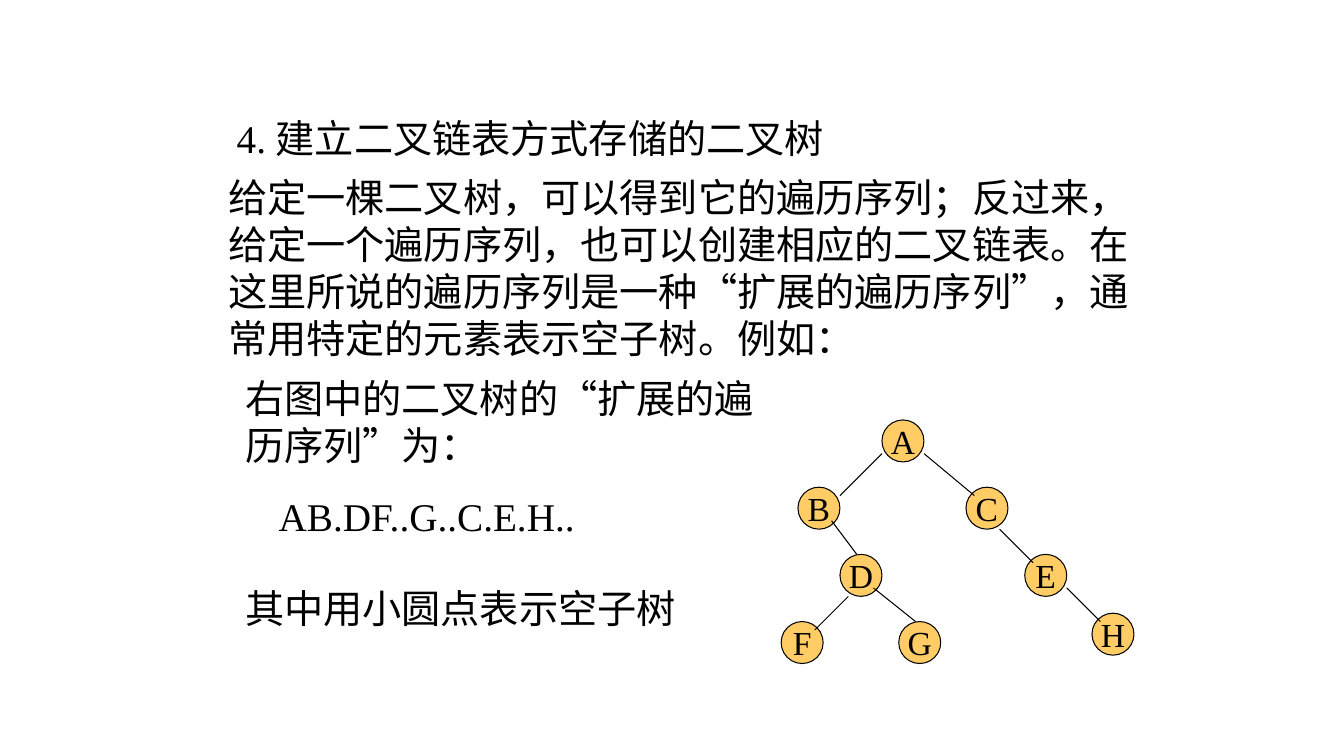
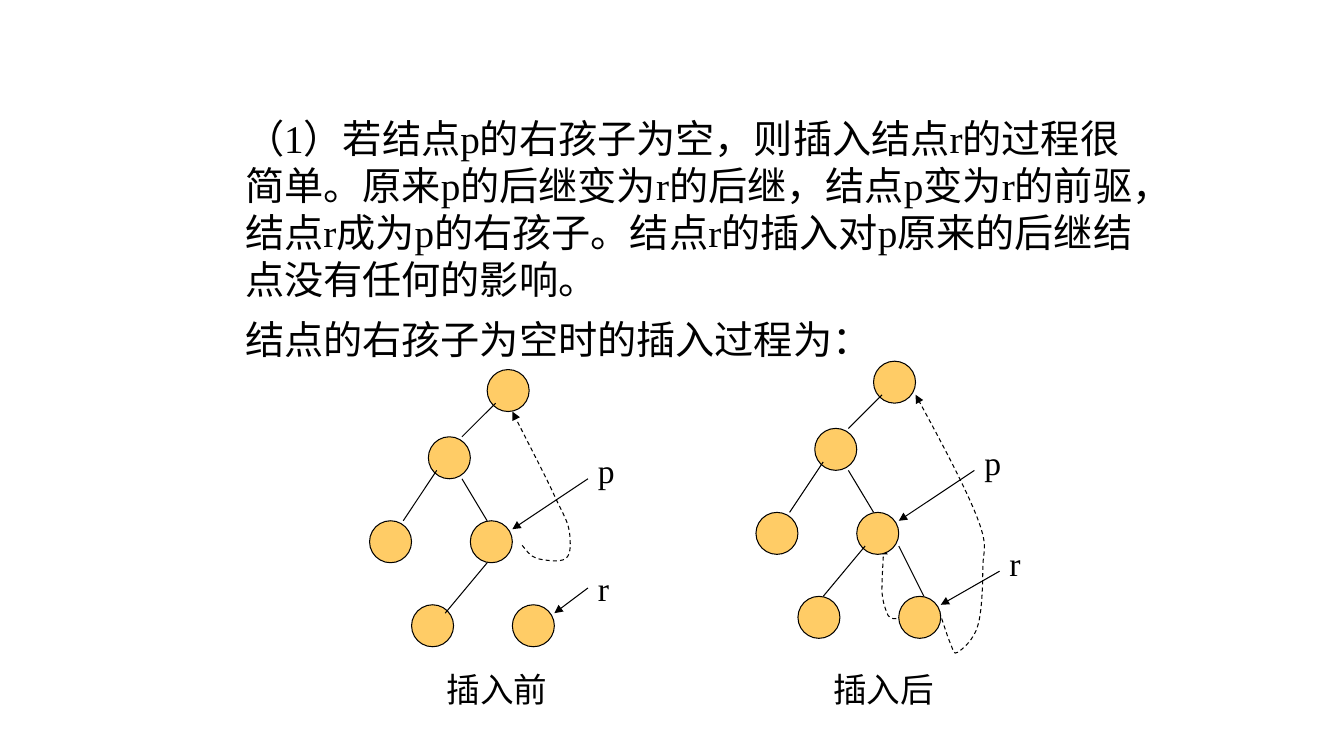
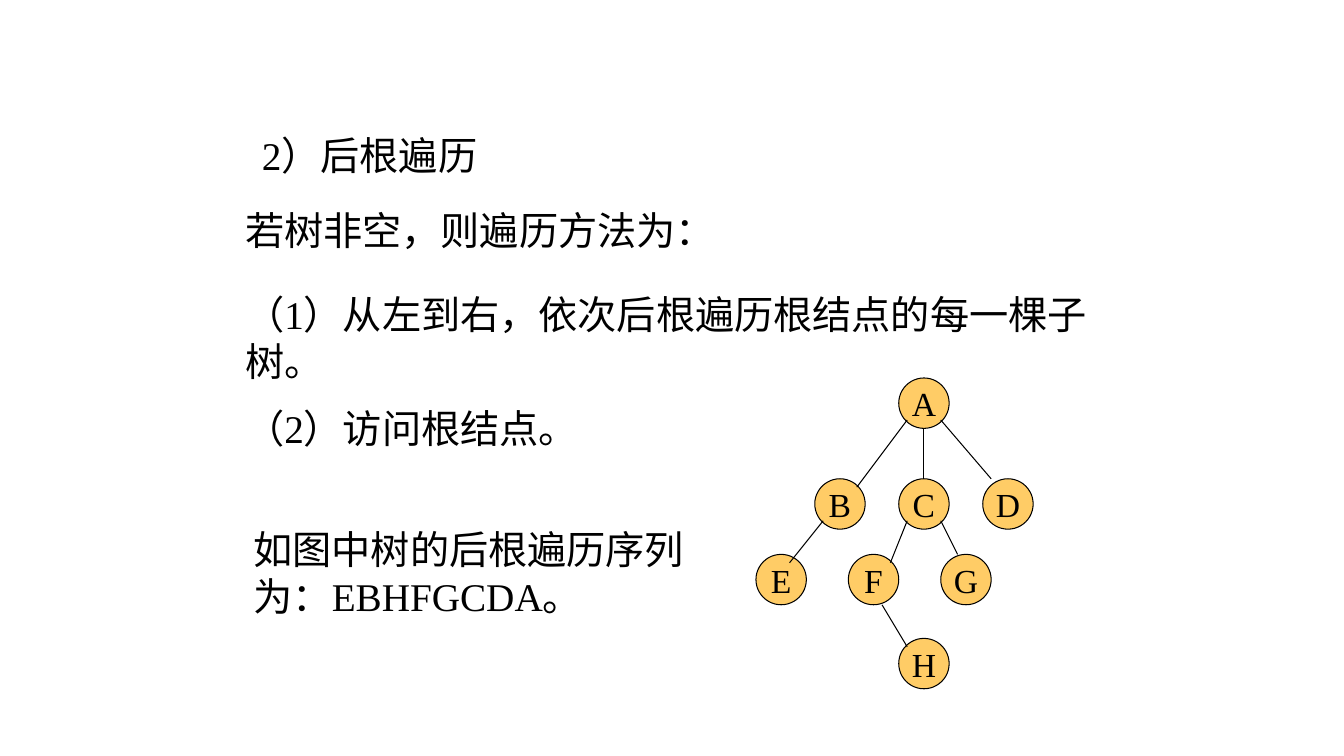
from pptx import Presentation
from pptx.dml.color import RGBColor
from pptx.enum import dml, shapes, text
from pptx.oxml import ns, xmlchemy
from pptx.util import Pt

LATIN, HAN = "Times New Roman", "Noto Sans CJK SC"
INK, NODE_FILL = "000000", "FFCC66"
BODY, LABEL = 28, 24
LEADING = 1.2


def paint(target, colour):
    """Give a fill or a font colour its hex value."""
    target.rgb = RGBColor.from_string(colour)


def add_child(parent, tag, **attributes):
    child = xmlchemy.OxmlElement(tag)
    for name, value in attributes.items():
        child.set(name, value)
    parent.append(child)


# Text
def write(para, spans, size):
    """Add (wording, font) spans to a paragraph."""
    para.line_spacing = Pt(size * LEADING)
    for wording, font in spans:
        span = para.add_run()
        span.text = wording
        span.font.size = Pt(size)
        paint(span.font.color, INK)
        span.font.name = font
        add_child(span.font._element, "a:ea", typeface=HAN)


def add_text(page, left, top, width, height, *paras, size=BODY):
    """Each paragraph is a string; '|' switches between the two fonts."""
    box = page.shapes.add_textbox(Pt(left), Pt(top), Pt(width), Pt(height))
    frame = box.text_frame
    frame.word_wrap = True
    for index, wording in enumerate(paras):
        para = frame.add_paragraph() if index else frame.paragraphs[0]
        if index:
            para.space_before = Pt(14)
        spans = [(part, (LATIN, HAN)[turn % 2])
                 for turn, part in enumerate(wording.split("|"))]
        write(para, spans, size)


# Lines and nodes
def style_line(line, arrow=False, dashed=False):
    line.fill.solid()
    paint(line.fill.fore_color, INK)
    line.width = Pt(0.75)
    if dashed:
        line.dash_style = dml.MSO_LINE.DASH
    if arrow:
        add_child(line._get_or_add_ln(), "a:tailEnd", type="triangle")


def add_line(page, x1, y1, x2, y2, arrow=False):
    link = page.shapes.add_connector(
        shapes.MSO_CONNECTOR.STRAIGHT, Pt(x1), Pt(y1), Pt(x2), Pt(y2))
    style_line(link.line, arrow)
    add_child(link._element.find(ns.qn("p:spPr")), "a:effectLst")


def add_node(page, left, top, size, name=""):
    node = page.shapes.add_shape(
        shapes.MSO_SHAPE.OVAL, Pt(left), Pt(top), Pt(size), Pt(size))
    node.shadow.inherit = False
    node.fill.solid()
    paint(node.fill.fore_color, NODE_FILL)
    style_line(node.line)
    if name:
        frame = node.text_frame
        frame.word_wrap = False
        frame.vertical_anchor = text.MSO_ANCHOR.MIDDLE
        frame.paragraphs[0].alignment = text.PP_ALIGN.CENTER
        write(frame.paragraphs[0], [(name, LATIN)], LABEL)


def add_tree(page, left, top, size, nodes, edges):
    """Nodes are (name, x, y) and edges (x1, y1, x2, y2) from the corner."""
    for name, x, y in nodes:
        add_node(page, left + x, top + y, size, name)
    for x1, y1, x2, y2 in edges:
        add_line(page, left + x1, top + y1, left + x2, top + y2)


def add_thread(page, left, top, points):
    """Dashed arrow along joined cubic curves: a start, then three points each."""
    start, *rest = [(Pt(left + x), Pt(top + y)) for x, y in points]
    builder = page.shapes.build_freeform(*start)
    builder.add_line_segments(rest, close=False)
    curve = builder.convert_to_shape()
    curve.shadow.inherit = False
    curve.fill.background()
    style_line(curve.line, arrow=True, dashed=True)
    # Turn each three straight segments into one cubic curve
    segments = list(curve._element.iter(ns.qn("a:lnTo")))
    for first in range(0, len(segments), 3):
        cubic = xmlchemy.OxmlElement("a:cubicBezTo")
        segments[first].addprevious(cubic)
        for segment in segments[first:first + 3]:
            cubic.append(segment[0])
            segment.getparent().remove(segment)


# Tree before or after the insertion
INSERT_NODES = [("", 84, 0), ("", 42, 48), ("", 0, 108),
                ("", 72, 108), ("", 30, 168), ("", 102, 168)]
INSERT_EDGES = [(90, 24, 66, 48), (48, 72, 24, 108), (66, 78, 84, 108)]


def add_insertion(page, left, top, edges, threads, pointers):
    """Pointers are (name, label top, x1, y1, x2, y2)."""
    for points in threads:
        add_thread(page, left, top, points)
    add_tree(page, left, top, 30, INSERT_NODES, INSERT_EDGES + edges)
    for name, label_top, x1, y1, x2, y2 in pointers:
        add_line(page, left + x1, top + y1, left + x2, top + y2, arrow=True)
        add_text(page, left + x1, top + label_top, 42, 36, name, size=LABEL)


P_POINTER = ("p", 54, 156, 78, 102, 114)
THREAD_BEFORE = [
    (109, 125.5), (111.8, 129), (114.7, 133.4), (119.8, 135),
    (125.5, 136.3), (136.3, 137.8), (140, 135),
    (144.2, 132), (143.5, 123.4), (142.8, 116.2),
    (141.4, 109), (140.6, 107.5), (133.4, 93),
    (127, 78.7), (114, 54), (102, 30)]
THREAD_TO_P = [
    (109.4, 172), (107.3, 176.2), (105, 180.5), (103, 182.7),
    (100.8, 184), (99.4, 184), (98, 184),
    (96.5, 183.4), (94.3, 182.7), (93.6, 179.8),
    (92.2, 176.2), (90.7, 172.6), (90, 164.7),
    (90, 156.7), (90.7, 144.5), (91.4, 132)]
THREAD_TO_ROOT = [
    (131, 179), (134, 187.7), (136.8, 197), (139, 202),
    (141, 206.4), (141, 210), (144, 208),
    (147.6, 205.7), (155.5, 199.2), (158.4, 189),
    (161.3, 179.8), (162, 160.3), (162, 148),
    (162, 135), (166.3, 133.7), (158.4, 112.8),
    (150.5, 92), (132.5, 58), (114, 24)]


# Slides
def build_linked_tree(page):
    add_text(page, 162, 78, 660, 41, "4. 建立二叉链表方式存储的二叉树")
    add_text(page, 156, 120, 660, 142,
             "给定一棵二叉树，可以得到它的遍历序列；反过来，给定一个遍历序列，"
             "也可以创建相应的二叉链表。在这里所说的遍历序列是一种“扩展的遍历序列”，"
             "通常用特定的元素表示空子树。例如：")
    add_tree(page, 558, 300, 30,
             [("A", 72, 0), ("B", 12, 48), ("C", 132, 48), ("D", 42, 96),
              ("F", 0, 144), ("G", 84, 144), ("E", 174, 96), ("H", 222, 138)],
             [(72, 24, 42, 54), (102, 24, 138, 54), (36, 72, 54, 96),
              (48, 126, 24, 150), (66, 120, 96, 144), (204, 120, 228, 144),
              (156, 78, 180, 102)])
    add_text(page, 168, 264, 390, 74, "右图中的二叉树的“扩展的遍历序列”为：")
    add_text(page, 192, 348, 294, 41, "AB.DF..G..C.E.H..")
    add_text(page, 168, 414, 342, 41, "其中用小圆点表示空子树")


def build_insertion(page):
    add_text(page, 168, 78, 654, 142,
             "（1）若结点p|的右孩子为空，则插入结点|r|的过程很简单。原来|p|的后继变为|r"
             "|的后继，结点|p|变为|r|的前驱，结点|r|成为|p|的右孩子。结点|r|的插入对|p"
             "|原来的后继结点没有任何的影响。")
    add_text(page, 168, 222, 462, 41, "结点的右孩子为空时的插入过程为：")
    add_insertion(page, 264, 264, [(84, 138, 54, 174)], [THREAD_BEFORE],
                  [P_POINTER, ("r", 138, 156, 156, 132, 174)])
    add_insertion(page, 540, 258, [(78, 132, 48, 168), (102, 132, 120, 168)],
                  [THREAD_TO_P, THREAD_TO_ROOT],
                  [P_POINTER, ("r", 126, 174, 150, 132, 174)])
    for left, caption in ((312, "插入前"), (588, "插入后")):
        add_text(page, left, 474, 96, 36, caption, size=LABEL)


def build_postorder(page):
    add_text(page, 180, 90, 636, 41, "2）后根遍历")
    add_text(page, 168, 144, 642, 41, "若树非空，则遍历方法为：")
    add_text(page, 168, 204, 636, 125,
             "（1）从左到右，依次后根遍历根结点的每一棵子树。", "（2）访问根结点。")
    add_tree(page, 540, 270, 36,
             [("A", 102, 0), ("B", 42, 72), ("E", 0, 126), ("C", 102, 72),
              ("D", 162, 72), ("F", 66, 126), ("G", 132, 126), ("H", 102, 186)],
             [(108, 30, 72, 78), (48, 102, 24, 132), (120, 36, 120, 72),
              (132, 30, 168, 72), (108, 102, 96, 132), (132, 102, 144, 126),
              (90, 162, 108, 192)])
    add_text(page, 174, 372, 336, 74, "如图中树的后根遍历序列为：EBHFGCDA。")


def main():
    deck = Presentation()
    deck.slide_width, deck.slide_height = Pt(960), Pt(540)
    for build in (build_linked_tree, build_insertion, build_postorder):
        build(deck.slides.add_slide(deck.slide_layouts[6]))
    deck.save("out.pptx")


if __name__ == "__main__":
    main()
